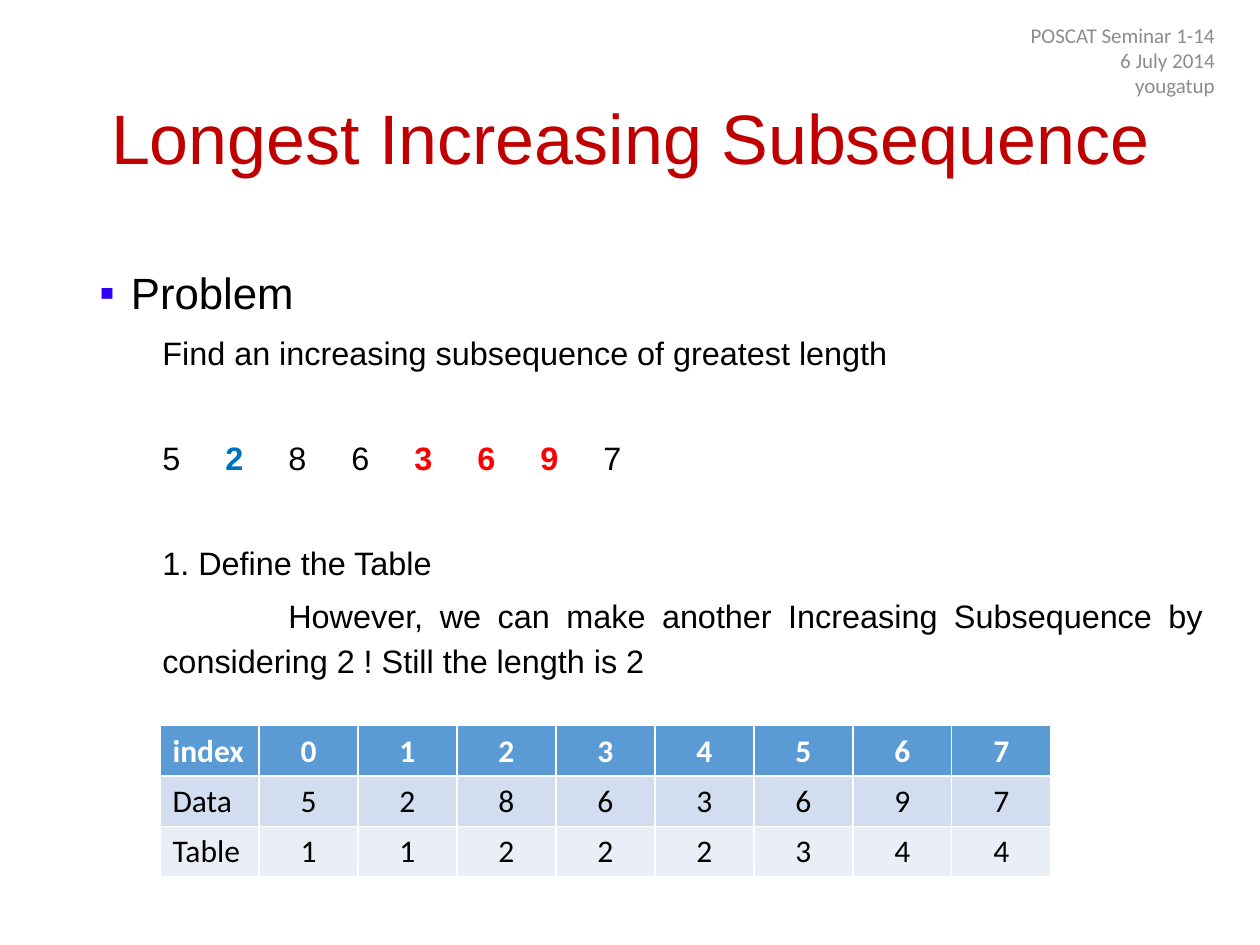
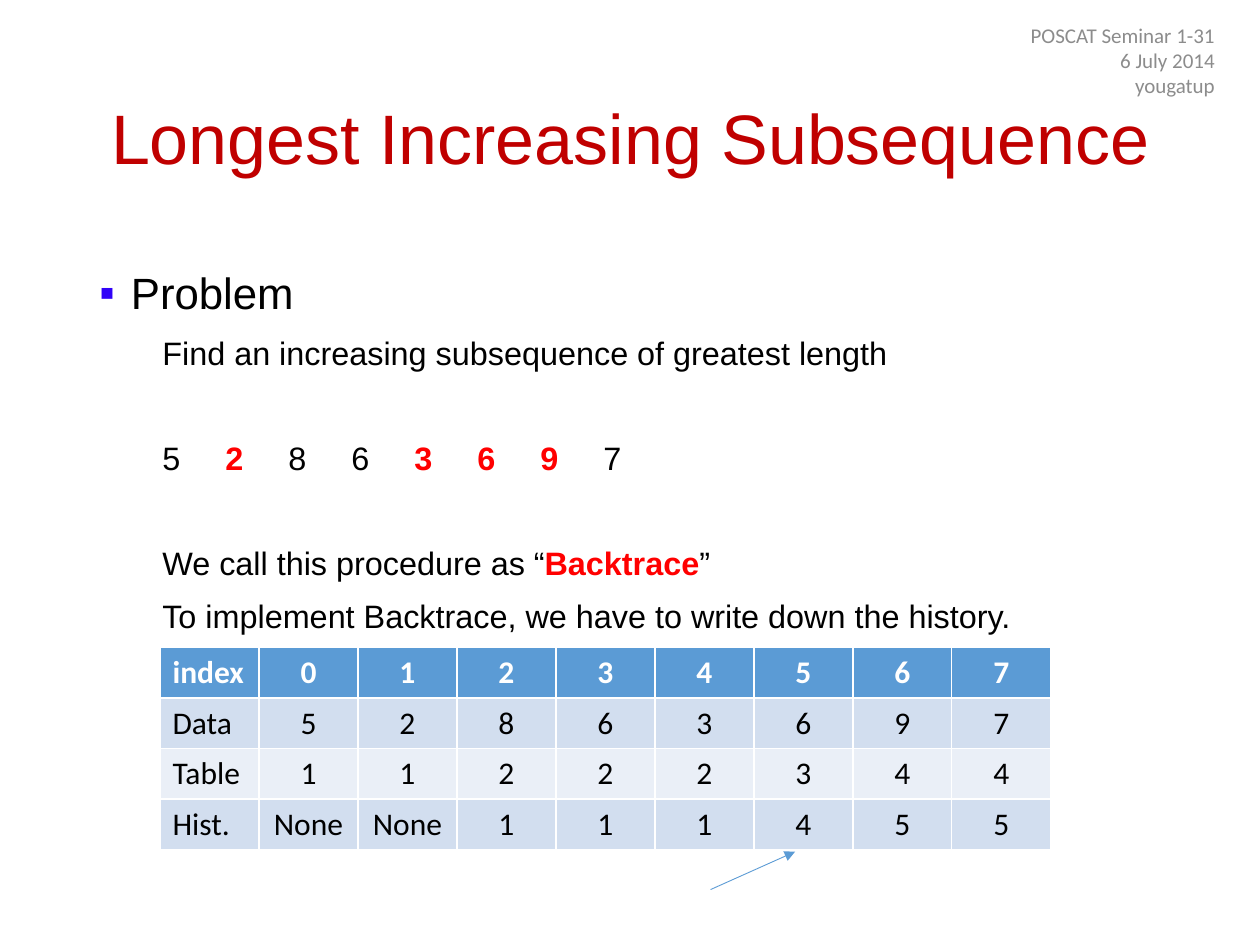
from lxml.etree import SubElement
from pptx import Presentation
from pptx.dml.color import RGBColor
from pptx.enum.shapes import MSO_CONNECTOR
from pptx.enum.text import MSO_ANCHOR, PP_ALIGN
from pptx.oxml.ns import qn
from pptx.util import Inches, Pt

RED_TITLE = RGBColor(0xC0, 0x00, 0x00)
BULLET_BLUE = RGBColor(0x31, 0x02, 0xF8)
GREY = RGBColor(0x8C, 0x8C, 0x8C)
BLACK = RGBColor(0x00, 0x00, 0x00)
WHITE = RGBColor(0xFF, 0xFF, 0xFF)
RED = RGBColor(0xFF, 0x00, 0x00)
BLUE = RGBColor(0x00, 0x70, 0xC0)
HEADER_FILL = RGBColor(0x5B, 0x9B, 0xD5)
BAND_FILLS = [RGBColor(0xD2, 0xDE, 0xEF), RGBColor(0xEA, 0xEF, 0xF7)]

TITLE_FONT = dict(name="Arial", size=Pt(40), bold=False)
TOPIC_FONT = dict(name="Arial", size=Pt(25), bold=False)
BODY_FONT = dict(name="Arial", size=Pt(18.5), bold=False)
STRONG_FONT = dict(BODY_FONT, bold=True)
MARK_FONT = dict(name="Calibri", size=Pt(12), bold=False)
CELL_FONT = dict(name="Calibri", size=Pt(18), bold=False)
HEADER_FONT = dict(CELL_FONT, bold=True)

TITLE_BOX = (0.69, 0.4, 8.62, 1.45)
BODY_BOX = (0.69, 2, 8.95, 4.76)
MARK_BOX = (7.49, 0.2, 2.25, 0.55)
TABLE_LEFT, TABLE_WIDTH, ROW_HEIGHT = 1.27, 7.07, 0.4

LINE_GAP = Pt(5)
SECTION_GAP = Pt(34.4)
BODY_INDENT = 0.5
SEQUENCE_START, SEQUENCE_STEP = 2.5, 0.5

SEQUENCE = [5, 2, 8, 6, 3, 6, 9, 7]
LENGTHS = [1, 1, 2, 2, 2, 3, 4, 4]
HISTORY = ["None", "None", 1, 1, 1, 4, 5, 5]
TABLE_ROWS = [["index", *range(len(SEQUENCE))], ["Data", *SEQUENCE], ["Table", *LENGTHS]]


def apply(target, values):
    for key, value in values.items():
        setattr(target, key, value)


def add_run(paragraph, text, font, color):
    run = paragraph.add_run()
    run.text = text
    apply(run.font, font)
    run.font.color.rgb = color


def add_frame(slide, box, anchor=MSO_ANCHOR.TOP):
    frame = slide.shapes.add_textbox(*map(Inches, box)).text_frame
    apply(frame, dict(word_wrap=True, vertical_anchor=anchor))
    return frame


def add_title(slide, box, title):
    paragraph = add_frame(slide, box, MSO_ANCHOR.MIDDLE).paragraphs[0]
    apply(paragraph, dict(alignment=PP_ALIGN.CENTER, line_spacing=0.9))
    add_run(paragraph, title, TITLE_FONT, RED_TITLE)


def add_seminar_mark(slide, box, page):
    frame = add_frame(slide, box, MSO_ANCHOR.MIDDLE)
    lines = [f"POSCAT Seminar 1-{page}", "6 July 2014", "yougatup"]
    for number, line in enumerate(lines):
        paragraph = frame.add_paragraph() if number else frame.paragraphs[0]
        paragraph.alignment = PP_ALIGN.RIGHT
        add_run(paragraph, line, MARK_FONT, GREY)


def indent(paragraph, margin, first_line=0):
    properties = paragraph._p.get_or_add_pPr()
    properties.set("marL", str(Inches(margin)))
    properties.set("indent", str(Inches(first_line)))
    return properties


def add_topic(frame, topic):
    paragraph = frame.paragraphs[0]
    properties = indent(paragraph, 0.25, -0.25)
    color = SubElement(properties, qn("a:buClr"))
    SubElement(color, qn("a:srgbClr"), val=str(BULLET_BLUE))
    SubElement(properties, qn("a:buFont"), typeface="Arial")
    SubElement(properties, qn("a:buChar"), char="▪")
    paragraph.line_spacing = 1.15
    add_run(paragraph, topic, TOPIC_FONT, BLACK)


def add_line(frame, parts, gap=LINE_GAP, margin=BODY_INDENT, first_line=0, align=PP_ALIGN.LEFT):
    paragraph = frame.add_paragraph()
    indent(paragraph, margin, first_line)
    apply(paragraph, dict(alignment=align, line_spacing=1.15, space_before=gap))
    for text, font, color in parts:
        add_run(paragraph, text, font, color)
    return paragraph


def plain(text):
    return text, BODY_FONT, BLACK


def add_sequence(frame, highlights):
    paragraph = add_line(frame, [], SECTION_GAP, margin=0)
    stops = SubElement(paragraph._p.get_or_add_pPr(), qn("a:tabLst"))
    for place, number in enumerate(SEQUENCE):
        position = Inches(SEQUENCE_START + place * SEQUENCE_STEP)
        SubElement(stops, qn("a:tab"), pos=str(position), algn="l")
        font = STRONG_FONT if place in highlights else BODY_FONT
        add_run(paragraph, f"\t{number}", font, highlights.get(place, BLACK))


def add_problem(slide, box, highlights, explanation):
    frame = add_frame(slide, box)
    add_topic(frame, "Problem")
    add_line(frame, [plain("Find an increasing subsequence of greatest length")])
    add_sequence(frame, highlights)
    for number, (parts, layout) in enumerate(explanation):
        add_line(frame, parts, LINE_GAP if number else SECTION_GAP, **layout)


def add_dp_table(slide, top, rows):
    columns = len(rows[0])
    box = (TABLE_LEFT, top, TABLE_WIDTH, ROW_HEIGHT * len(rows))
    table = slide.shapes.add_table(len(rows), columns, *map(Inches, box)).table
    for column in table.columns:
        column.width = Inches(TABLE_WIDTH / columns)
    for r, values in enumerate(rows):
        fill = BAND_FILLS[(r - 1) % 2] if r else HEADER_FILL
        font, color = (CELL_FONT, BLACK) if r else (HEADER_FONT, WHITE)
        for c, value in enumerate(values):
            cell = table.cell(r, c)
            cell.fill.solid()
            cell.fill.fore_color.rgb = fill
            paragraph = cell.text_frame.paragraphs[0]
            paragraph.alignment = PP_ALIGN.CENTER if c else PP_ALIGN.LEFT
            add_run(paragraph, str(value), font, color)


def add_history_arrow(slide, start, end):
    arrow = slide.shapes.add_connector(MSO_CONNECTOR.STRAIGHT, *map(Inches, start + end))
    arrow.line.color.rgb = HEADER_FILL
    arrow.line.width = Pt(0.5)
    SubElement(arrow.line._get_or_add_ln(), qn("a:tailEnd"), type="triangle")
    SubElement(arrow._element.spPr, qn("a:effectLst"))


def add_lis_slide(deck, page, highlights, explanation, table_top, rows):
    slide = deck.slides.add_slide(deck.slide_layouts[6])
    add_title(slide, TITLE_BOX, "Longest Increasing Subsequence")
    add_problem(slide, BODY_BOX, highlights, explanation)
    add_seminar_mark(slide, MARK_BOX, page)
    add_dp_table(slide, table_top, rows)
    return slide


def main():
    deck = Presentation()
    apply(deck, dict(slide_width=Inches(10), slide_height=Inches(7.5)))

    found = {4: RED, 5: RED, 6: RED}
    however = "However, we can make another Increasing Subsequence by considering 2 ! Still the length is 2"
    define_table = [
        ([plain("1. Define the Table")], {}),
        ([plain(however)], dict(first_line=1, align=PP_ALIGN.JUSTIFY)),
    ]
    add_lis_slide(deck, 14, {1: BLUE, **found}, define_table, 5.76, TABLE_ROWS)

    backtrace = [
        ([plain("We call this procedure as “"), ("Backtrace", STRONG_FONT, RED), plain("”")], {}),
        ([plain("To implement Backtrace, we have to write down the history.")], {}),
    ]
    history_rows = TABLE_ROWS + [["Hist.", *HISTORY]]
    slide = add_lis_slide(deck, 31, {1: RED, **found}, backtrace, 5.14, history_rows)
    add_history_arrow(slide, (5.64, 7.06), (6.31, 6.76))

    deck.save("out.pptx")


if __name__ == "__main__":
    main()
